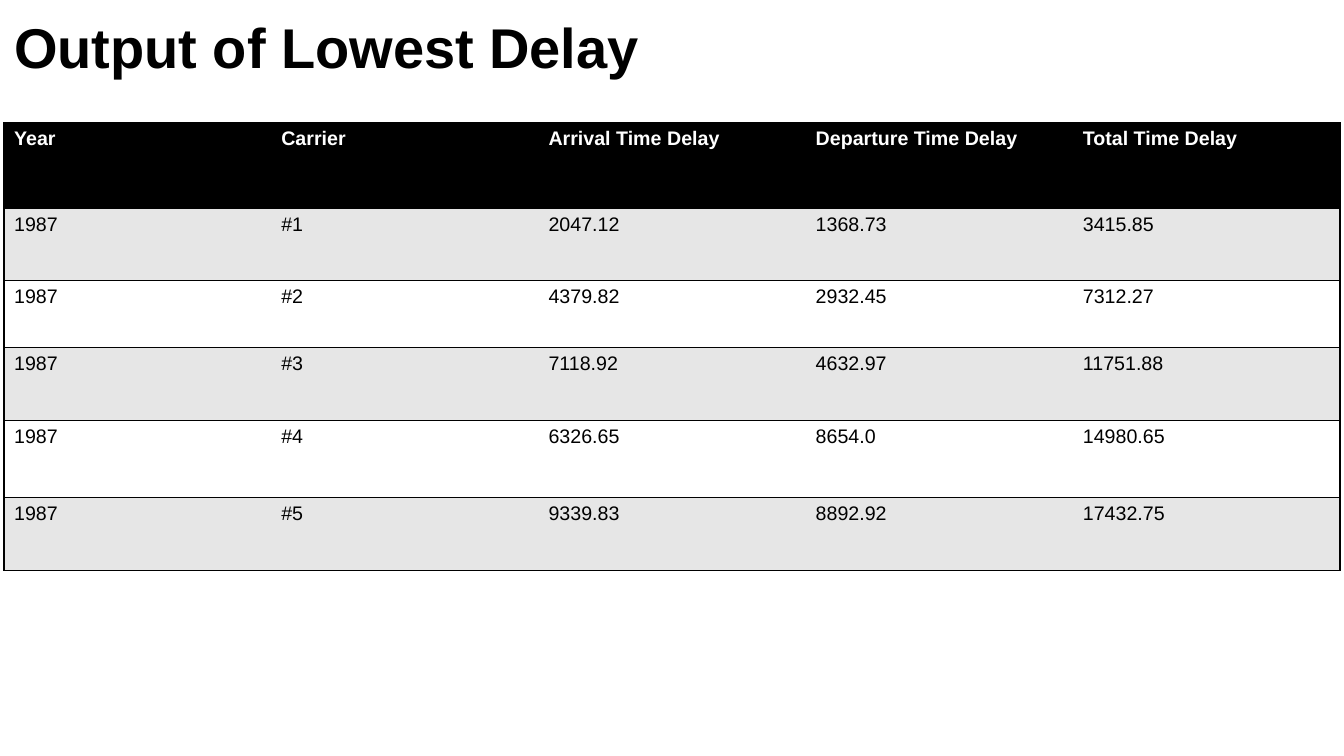
import pptx
import pptx.dml.color
import pptx.enum.text
import pptx.oxml.ns
import pptx.util
from lxml import etree

TITLE = "Output of Lowest Delay"
HEADER = ("Year", "Carrier", "Arrival Time Delay", "Departure Time Delay", "Total Time Delay")
DELAYS = [
    ("1987", "#1", "2047.12", "1368.73", "3415.85"),
    ("1987", "#2", "4379.82", "2932.45", "7312.27"),
    ("1987", "#3", "7118.92", "4632.97", "11751.88"),
    ("1987", "#4", "6326.65", "8654.0", "14980.65"),
    ("1987", "#5", "9339.83", "8892.92", "17432.75"),
]
COLORS = {"ink": "000000", "paper": "FFFFFF", "band": "E6E6E6"}
FONT = "Arial"
SLIDE_W, SLIDE_H = 13.33, 7.5
TITLE_BOX = (0.09, 0, 9.4, 0.84)
TABLE_LEFT, TABLE_TOP = 0.04, 1.22
COL_W = (SLIDE_W - 2 * TABLE_LEFT) / len(HEADER)
ROW_HEIGHTS = (0.85, 0.71, 0.67, 0.72, 0.77, 0.72)

inch = pptx.util.Inches


def rgb(name):
    return pptx.dml.color.RGBColor.from_string(COLORS[name])


def write(tf, text, size=14, color="ink", bold=False, inset=0.1):
    tf.margin_left = tf.margin_right = tf.margin_top = tf.margin_bottom = inch(inset)
    p = tf.paragraphs[0]
    p.alignment = pptx.enum.text.PP_ALIGN.LEFT
    r = p.add_run()
    r.text = text
    r.font.name, r.font.size, r.font.bold = FONT, pptx.util.Pt(size), bold
    r.font.color.rgb = rgb(color)


def set_borders(cell, drawn):
    """Draw a 1 pt line on each side in drawn and clear the other sides."""
    qn = pptx.oxml.ns.qn
    tc_pr = cell._tc.get_or_add_tcPr()
    for side in "LRTB":
        ln = etree.SubElement(tc_pr, qn(f"a:ln{side}"), w=str(pptx.util.Pt(1)))
        if side in drawn:
            fill = etree.SubElement(ln, qn("a:solidFill"))
            etree.SubElement(fill, qn("a:srgbClr"), val=COLORS["ink"])
        else:
            etree.SubElement(ln, qn("a:noFill"))


def add_title(s):
    sp = s.shapes.title
    sp.left, sp.top, sp.width, sp.height = map(inch, TITLE_BOX)
    tf = sp.text_frame
    tf.word_wrap = True
    tf.auto_size = pptx.enum.text.MSO_AUTO_SIZE.NONE
    tf.vertical_anchor = pptx.enum.text.MSO_ANCHOR.BOTTOM
    write(tf, TITLE, size=40, bold=True, inset=0.05)


def add_delay_table(s):
    rows = [HEADER] + DELAYS
    last = len(HEADER) - 1
    table = s.shapes.add_table(
        len(rows), len(HEADER), inch(TABLE_LEFT), inch(TABLE_TOP),
        inch(COL_W * len(HEADER)), inch(sum(ROW_HEIGHTS))).table
    table.horz_banding = False
    for col in table.columns:
        col.width = inch(COL_W)
    for i, (values, height) in enumerate(zip(rows, ROW_HEIGHTS)):
        table.rows[i].height = inch(height)
        header = i == 0
        fill = "ink" if header else "band" if i % 2 else "paper"
        for j, value in enumerate(values):
            cell = table.cell(i, j)
            set_borders(cell, "TB" + ("L" if j == 0 else "R" if j == last else ""))
            cell.fill.solid()
            cell.fill.fore_color.rgb = rgb(fill)
            write(cell.text_frame, value, color="paper" if header else "ink", bold=header)


def main():
    prs = pptx.Presentation()
    prs.slide_width, prs.slide_height = inch(SLIDE_W), inch(SLIDE_H)
    s = prs.slides.add_slide(prs.slide_layouts.get_by_name("Title Only"))
    add_title(s)
    add_delay_table(s)
    prs.save("out.pptx")


if __name__ == "__main__":
    main()
